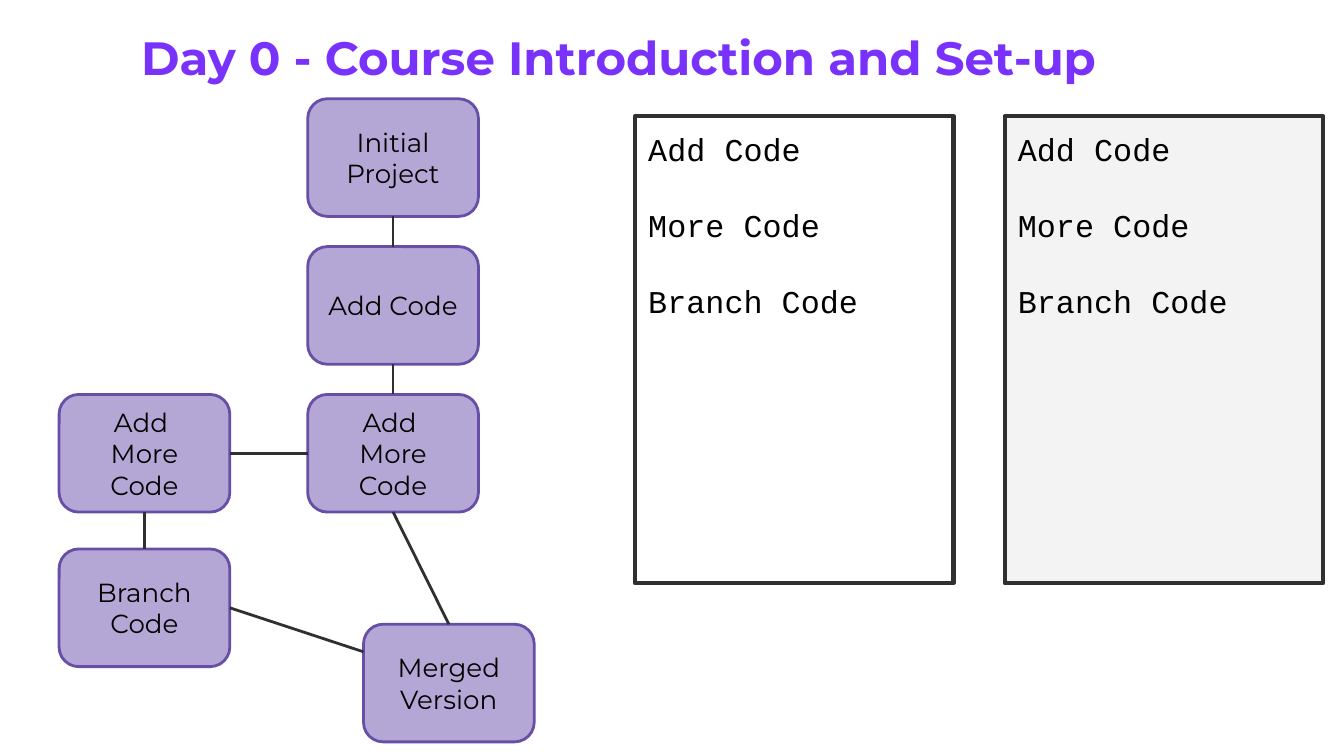
from collections import namedtuple

from lxml.etree import SubElement
from pptx import Presentation
from pptx.dml.color import RGBColor
from pptx.enum.shapes import MSO_CONNECTOR as Line, MSO_SHAPE as Shape
from pptx.enum.text import MSO_ANCHOR as Anchor, PP_ALIGN as Align
from pptx.oxml.ns import qn
from pptx.util import Pt

SCALE = 4572
COLORS = {"title": "7932FC", "node": "B4A7D6", "node_edge": "674EA7", "ink": "303030",
          "text": "000000", "paper": "FFFFFF", "shade": "F3F3F3"}
TITLE_FONT = {"name": "Montserrat", "size": Pt(25), "bold": True}
NODE_FONT = {"name": "Montserrat", "size": Pt(14)}
CODE_FONT = {"name": "Courier New", "size": Pt(17)}
Box = namedtuple("Box", "left top width height")
TOP, LEFT, BOTTOM, RIGHT = range(4)
NODE_SIZE = (254, 175)
NODES = {
    "initial": (458, 0, ["Initial", "Project"]),
    "add": (458, 220, ["Add Code"]),
    "main": (458, 440, ["Add ", "More Code"]),
    "side": (88, 440, ["Add ", "More Code"]),
    "branch": (88, 670, ["Branch", "Code"]),
    "merged": (541, 782, ["Merged", "Version"]),
}
LINKS = [("initial", BOTTOM, "add", TOP), ("add", BOTTOM, "main", TOP),
         ("side", RIGHT, "main", LEFT), ("side", BOTTOM, "branch", TOP),
         ("main", BOTTOM, "merged", TOP), ("branch", RIGHT, "merged", None)]
MERGE_ENTRY = (0, 41)
CODE_LINES = ["Add Code", "More Code", "Branch Code"]


def px(*lengths):
    """Turn px lengths into EMU."""
    return [length * SCALE for length in lengths]


def color(name):
    """Look up a named colour."""
    return RGBColor.from_string(COLORS[name])


def write(frame, lines, font, ink, para_format, anchor=Anchor.TOP):
    """Fill a text frame with one paragraph per line."""
    frame.word_wrap = True
    frame.vertical_anchor = anchor
    for side in ("left", "top", "right", "bottom"):
        setattr(frame, f"margin_{side}", 20 * SCALE)
    for index, line in enumerate(lines):
        para = frame.add_paragraph() if index else frame.paragraphs[0]
        for name, value in para_format.items():
            setattr(para, name, value)
        span = para.add_run()
        span.text = line
        span.font.color.rgb = color(ink)
        for name, value in font.items():
            setattr(span.font, name, value)


def add_box(page, kind, box, fill, edge, weight):
    """Draw a filled, outlined shape without a shadow."""
    shape = page.shapes.add_shape(kind, *px(*box))
    shape.shadow.inherit = False
    shape.fill.solid()
    shape.fill.fore_color.rgb = color(fill)
    shape.line.color.rgb = color(edge)
    shape.line.width = Pt(weight)
    return shape


def add_title(page, box, text):
    """Place and format the slide title."""
    title = page.shapes.title
    title.left, title.top, title.width, title.height = px(*box)
    write(title.text_frame, [text], TITLE_FONT, "title", {"alignment": Align.LEFT})


def add_link(page, start, start_site, end, end_site):
    """Join two nodes with a straight line."""
    entry_x, entry_y = px(*MERGE_ENTRY)
    line = page.shapes.add_connector(Line.STRAIGHT, start.left, start.top,
                                     end.left + entry_x, end.top + entry_y)
    line.begin_connect(start, start_site)
    if end_site is not None:
        line.end_connect(end, end_site)
    line.line.color.rgb = color("ink")
    line.line.width = Pt(1.5)
    SubElement(line._element.spPr, qn("a:effectLst"))


def add_history(page, box):
    """Draw the branching project history."""
    shapes = {}
    for key, (left, top, lines) in NODES.items():
        place = Box(box.left + left, box.top + top, *NODE_SIZE)
        node = add_box(page, Shape.ROUNDED_RECTANGLE, place, "node", "node_edge", 1.5)
        write(node.text_frame, lines, NODE_FONT, "text",
              {"alignment": Align.CENTER}, Anchor.MIDDLE)
        shapes[key] = node
    for start, start_site, end, end_site in LINKS:
        add_link(page, shapes[start], start_site, shapes[end], end_site)


def add_code_panel(page, box, fill):
    """Draw a panel listing the code steps."""
    panel = add_box(page, Shape.RECTANGLE, box, fill, "ink", 2.25)
    write(panel.text_frame, CODE_LINES, CODE_FONT, "text",
          {"alignment": Align.LEFT, "space_after": Pt(20.3)})


def main():
    """Build and save the deck."""
    deck = Presentation()
    deck.slide_width, deck.slide_height = px(2000, 1125)
    page = deck.slides.add_slide(deck.slide_layouts[5])
    add_title(page, Box(190, 23, 1720, 124), "Day 0 - Course Introduction and Set-up")
    add_history(page, Box(0, 147, 800, 957))
    for index, fill in enumerate(("paper", "shade")):
        add_code_panel(page, Box(945 + 550 * index, 173, 474, 695), fill)
    deck.save("out.pptx")


if __name__ == "__main__":
    main()
